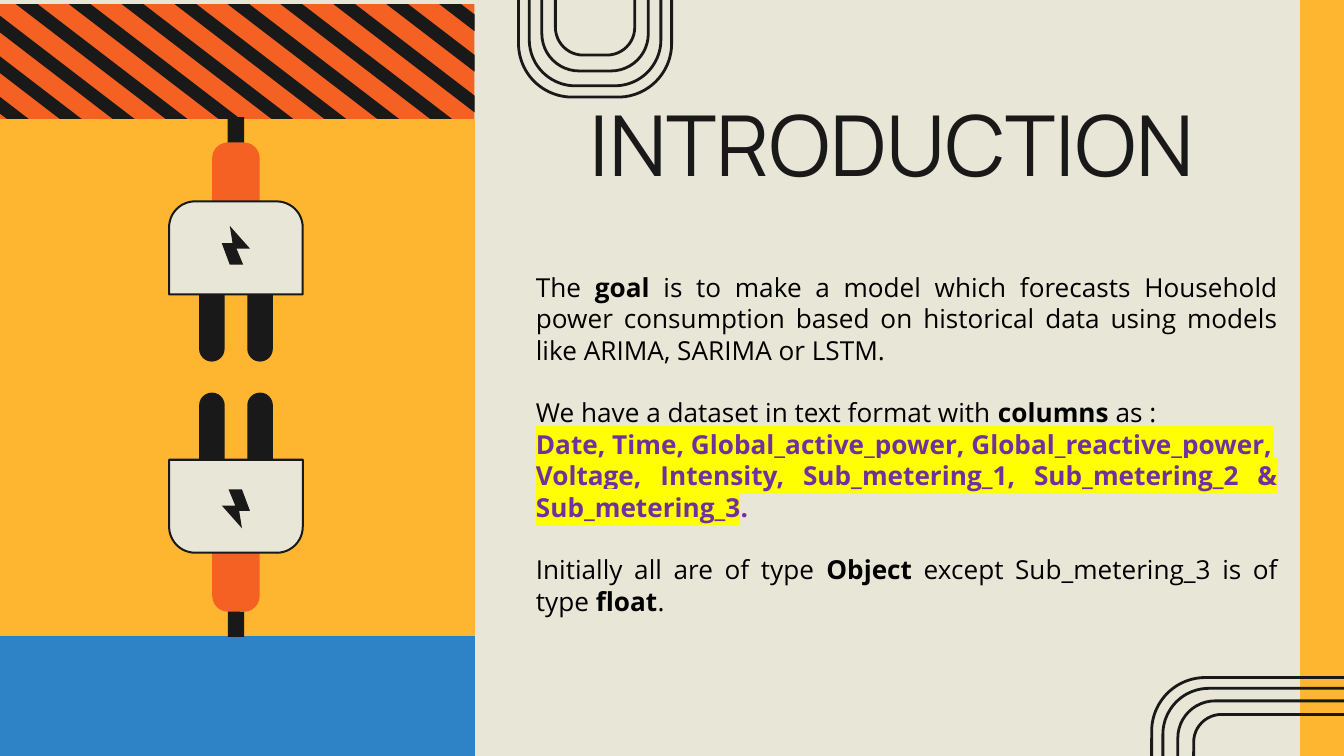
"""Build the introduction slide with striped banner, plug illustration and dataset summary."""
import pptx
import pptx.dml.color
import pptx.enum.shapes
import pptx.enum.text
import pptx.util
from lxml import etree

Pt = pptx.util.Pt
Shape = pptx.enum.shapes.MSO_SHAPE
Align = pptx.enum.text.PP_ALIGN
INK, CREAM, YELLOW, ORANGE, BLUE = "191919", "E8E6D6", "FEB530", "F46123", "2E83C7"
BLACK, PURPLE, MARKER = "000000", "7030A0", "FFFF00"


def color(value):
    return pptx.dml.color.RGBColor.from_string(value)


def paint(shape, fill=None, line=None, width=0.75):
    shape.shadow.inherit = False
    if fill:
        shape.fill.solid()
        shape.fill.fore_color.rgb = color(fill)
    else:
        shape.fill.background()
    if line:
        shape.line.color.rgb = color(line)
        shape.line.width = Pt(width)
    else:
        shape.line.fill.background()


presentation = pptx.Presentation()
presentation.slide_width, presentation.slide_height = Pt(720), Pt(405)
slide = presentation.slides.add_slide(presentation.slide_layouts[6])
slide.background.fill.solid()
slide.background.fill.fore_color.rgb = color(CREAM)
shapes = slide.shapes

side_strip = shapes.add_shape(Shape.RECTANGLE, Pt(697), Pt(0), Pt(23), Pt(405))
paint(side_strip, YELLOW, YELLOW)

ring_sizes = [(283, 82), (271, 70.5), (255, 57), (238, 42.5)]
for center_x, center_y, upright in [(318.8, -89.5, True), (758.5, 404, False)]:
    for length, thickness in ring_sizes:
        width, height = (thickness, length) if upright else (length, thickness)
        ring = shapes.add_shape(Shape.ROUNDED_RECTANGLE, Pt(center_x - width / 2),
                                Pt(center_y - height / 2), Pt(width), Pt(height))
        ring.adjustments[0] = 0.35
        paint(ring, line=INK, width=1.5)

panel_width, banner_top, banner_height = 254.2, 2.2, 64.8
banner = shapes.add_shape(Shape.RECTANGLE, Pt(0), Pt(banner_top), Pt(panel_width), Pt(banner_height))
paint(banner, ORANGE)

stripe_run, stripe_width, stripe_pitch = 84.5, 11.7, 28.35
for index in range(-3, 9):
    edges = []
    for start in (8.5 + index * stripe_pitch, 8.5 + index * stripe_pitch + stripe_width):
        ends = [max(start, 0), min(start + stripe_run, panel_width)]
        edges.append([(Pt(x), Pt(banner_top + (x - start) * banner_height / stripe_run)) for x in ends])
    corners = edges[0] + edges[1][::-1]
    builder = shapes.build_freeform(*corners[0])
    builder.add_line_segments(corners[1:])
    paint(builder.convert_to_shape(), INK)

for top, height, fill in [(64, 277, YELLOW), (341, 66, BLUE)]:
    panel = shapes.add_shape(Shape.RECTANGLE, Pt(0), Pt(top), Pt(panel_width), Pt(height))
    paint(panel, fill, fill)

plug_center = 126.4
plug_parts = [
    (Shape.RECTANGLE, 0, 62.8, 8.8, 32, None, INK, None),
    (Shape.ROUNDED_RECTANGLE, 0, 76.3, 25.4, 56.9, 0.33, ORANGE, None),
    (Shape.ROUNDED_RECTANGLE, -12.9, 128.2, 13.7, 65.5, 0.5, INK, None),
    (Shape.ROUNDED_RECTANGLE, 12.9, 128.2, 13.7, 65.5, 0.5, INK, None),
    (Shape.ROUND_2_SAME_RECTANGLE, 0, 107.9, 71.6, 49.8, 0.28, CREAM, INK),
]
bolt_points = [(123.1, 121), (133.9, 133.2), (126.7, 133.2), (130.3, 141.8),
               (123.1, 141.8), (118.8, 130.3), (124.6, 130.3)]
bolt_corners = [(Pt(x), Pt(y)) for x, y in bolt_points]
for rotation in (0, 180):
    plug = []
    for kind, offset, top, width, height, radius, fill, line in plug_parts:
        part = shapes.add_shape(kind, Pt(plug_center + offset - width / 2), Pt(top), Pt(width), Pt(height))
        if radius:
            part.adjustments[0] = radius
        paint(part, fill, line, 1.09)
        plug.append(part)
    builder = shapes.build_freeform(*bolt_corners[0])
    builder.add_line_segments(bolt_corners[1:])
    bolt = builder.convert_to_shape()
    paint(bolt, INK)
    plug.append(bolt)
    if rotation:
        for part in plug:
            part.rotation = rotation
            part.top = Pt(404) - part.top - part.height

title = shapes.add_textbox(Pt(291.6), Pt(42.5), Pt(372.2), Pt(59)).text_frame
title.word_wrap = True
title.margin_left = title.margin_right = title.margin_top = title.margin_bottom = Pt(7.2)
paragraph = title.paragraphs[0]
paragraph.text = "INTRODUCTION"
paragraph.alignment = Align.CENTER
paragraph.font.name, paragraph.font.size = "Manrope", Pt(45)
paragraph.font.color.rgb = color(INK)

body = shapes.add_textbox(Pt(280), Pt(141.8), Pt(411.8), Pt(193.7)).text_frame
body.word_wrap = True
body_paragraphs = [
    (0, BLACK, [("The ", False, False), ("goal", True, False),
                (" is to make a model which forecasts Household power consumption based on "
                 "historical data using models like ARIMA, SARIMA or LSTM.", False, False)]),
    (16.8, BLACK, [("We have a dataset in text format with ", False, False),
                   ("columns", True, False), (" as :", False, False)]),
    (0, PURPLE, [("Date, Time, Global_active_power, Global_reactive_power,", True, True)]),
    (0, PURPLE, [("Voltage, Intensity, Sub_metering_1, Sub_metering_2 & Sub_metering_3", True, True),
                 (".", True, False)]),
    (16.8, BLACK, [("Initially all are of type ", False, False), ("Object", True, False),
                   (" except Sub_metering_3 is of type ", False, False),
                   ("float", True, False), (".", False, False)]),
]
for index, (gap, text_color, runs) in enumerate(body_paragraphs):
    paragraph = body.add_paragraph() if index else body.paragraphs[0]
    paragraph.alignment = Align.JUSTIFY
    paragraph.space_before = Pt(gap)
    paragraph.font.name, paragraph.font.size = "Open Sans", Pt(14)
    paragraph.font.color.rgb = color(text_color)
    for text, bold, highlighted in runs:
        run = paragraph.add_run()
        run.text = text
        run.font.bold = bold
        if highlighted:
            namespace = "{http://schemas.openxmlformats.org/drawingml/2006/main}"
            highlight = etree.SubElement(run.font._element, namespace + "highlight")
            etree.SubElement(highlight, namespace + "srgbClr", val=MARKER)

presentation.save("out.pptx")
